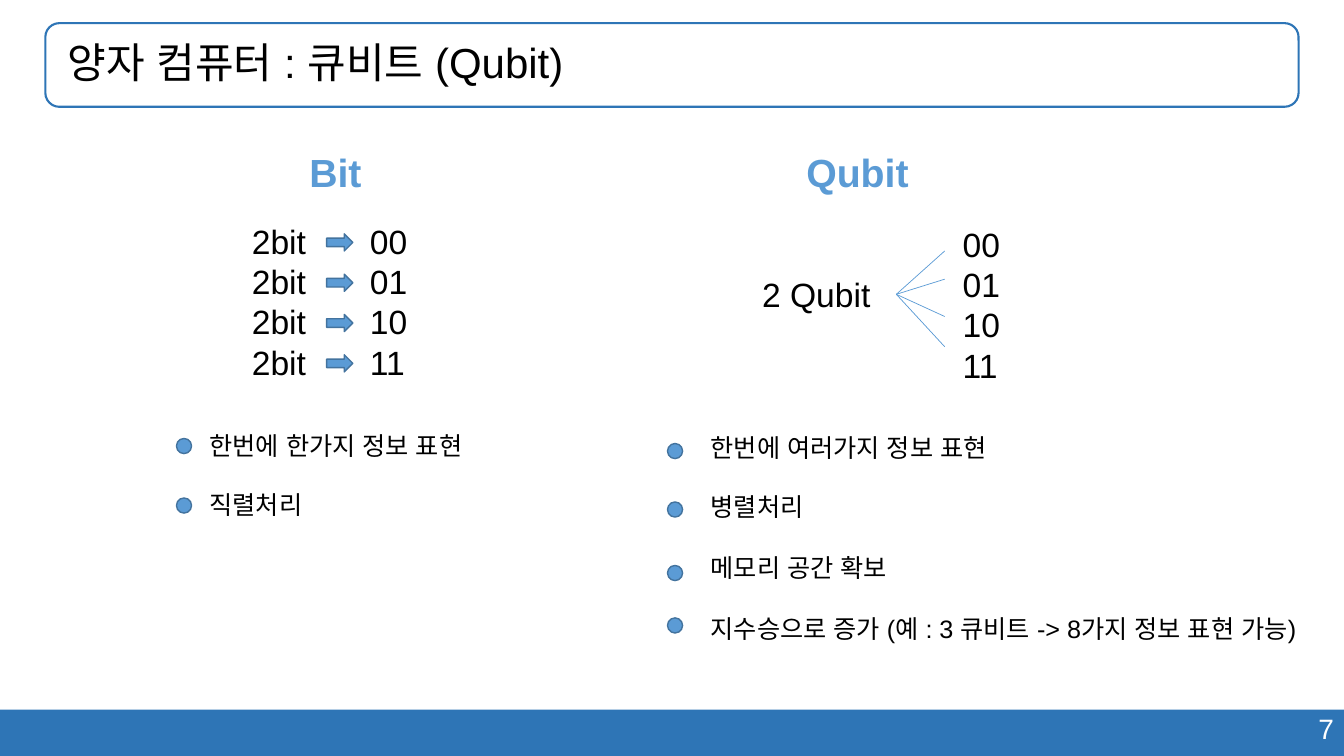
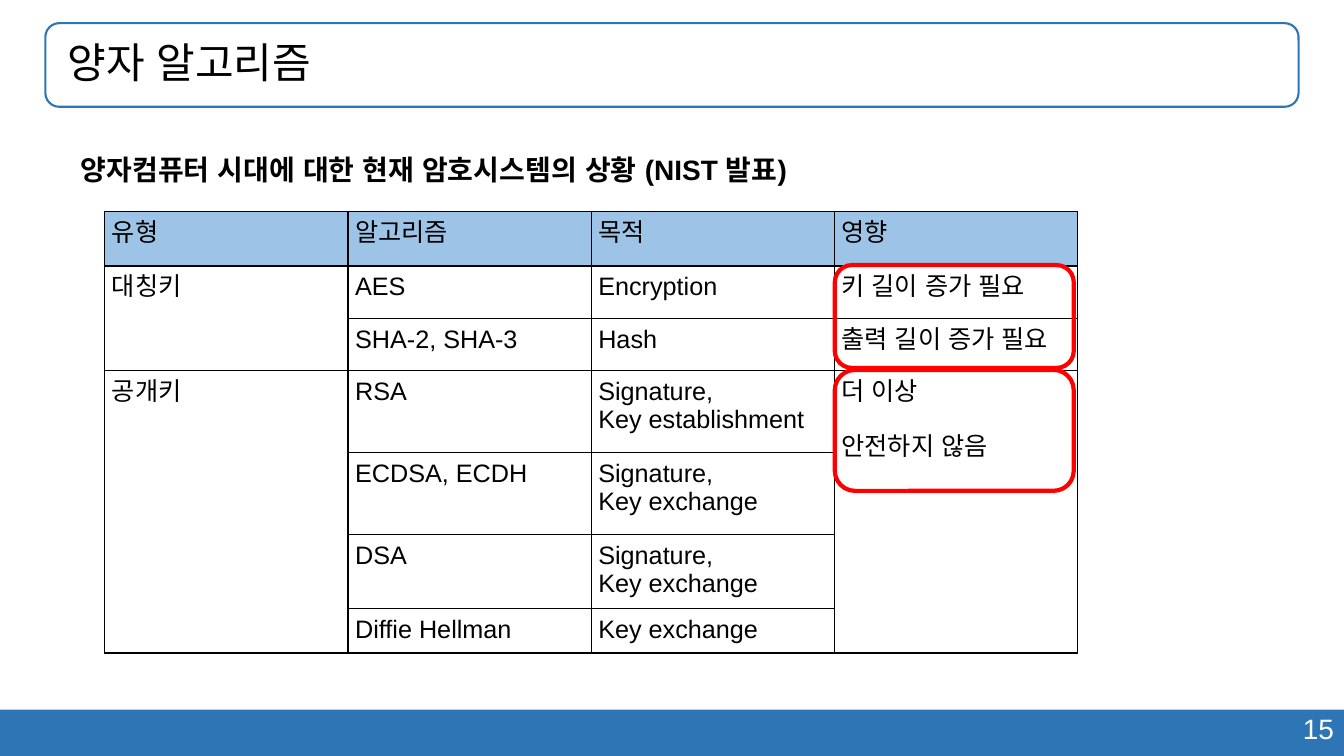
from typing import NamedTuple

from lxml import etree
from pptx import Presentation
from pptx.dml.color import RGBColor
from pptx.enum.shapes import MSO_CONNECTOR, MSO_SHAPE
from pptx.enum.text import MSO_ANCHOR, PP_ALIGN
from pptx.oxml.ns import qn
from pptx.util import Inches, Pt

RECT, ROUND = MSO_SHAPE.RECTANGLE, MSO_SHAPE.ROUNDED_RECTANGLE
ARROW, OVAL = MSO_SHAPE.RIGHT_ARROW, MSO_SHAPE.OVAL
LINE = MSO_CONNECTOR.STRAIGHT
LEFT, RIGHT = PP_ALIGN.LEFT, PP_ALIGN.RIGHT
TOP, MIDDLE = MSO_ANCHOR.TOP, MSO_ANCHOR.MIDDLE
FONT = "Arial"
COLORS = {
    "band": "2E75B6",
    "accent": "5B9BD5",
    "edge": "43739E",
    "head": "9DC3E6",
    "alert": "FF0000",
    "ink": "000000",
    "white": "FFFFFF",
}


class Box(NamedTuple):
    left: float
    top: float
    width: float
    height: float


class Style(NamedTuple):
    size: int
    color: str = "ink"
    bold: bool = False


class Point(NamedTuple):
    text: str
    top: float
    dot: float


class Column(NamedTuple):
    left: float
    dot: float
    width: float
    points: tuple[Point, ...]


class Label(NamedTuple):
    text: str
    box: Box
    style: Style


class Span(NamedTuple):
    col: int
    first: int
    last: int


BODY = Style(18)
CODE = Style(24)
HEAD = Style(28, "accent", True)
STATES = ("00", "01", "10", "11")
LABELS = (
    Label("Bit", Box(2.97, 1.42, 3, 0.57), HEAD),
    Label("Qubit", Box(7.9, 1.42, 3, 0.57), HEAD),
    Label("\n".join(["2bit"] * len(STATES)), Box(2.4, 2.14, 0.97, 1.72), CODE),
    Label("\n".join(STATES), Box(3.57, 2.14, 1.05, 1.72), CODE),
    Label("\n".join(STATES), Box(9.45, 2.17, 1.05, 1.72), CODE),
)
TIPS = (2.49, 2.77, 3.14, 3.44)
COLUMNS = (
    Column(1.98, 1.75, 3.42, (
        Point("한번에 한가지 정보 표현", 4.22, 4.35),
        Point("직렬처리", 4.81, 4.94),
    )),
    Column(6.95, 6.62, 6.6, (
        Point("한번에 여러가지 정보 표현", 4.24, 4.4),
        Point("병렬처리", 4.83, 4.98),
        Point("메모리 공간 확보", 5.43, 5.61),
        Point("지수승으로 증가 (예 : 3 큐비트 -> 8가지 정보 표현 가능)", 6.04, 6.13),
    )),
)
ROWS = (
    ("유형", "알고리즘", "목적", "영향"),
    ("대칭키", "AES", "Encryption", "키 길이 증가 필요"),
    ("", "SHA-2, SHA-3", "Hash", "출력 길이 증가 필요"),
    ("공개키", "RSA", "Signature,\vKey establishment", "더 이상\n안전하지 않음"),
    ("", "ECDSA, ECDH", "Signature,\vKey exchange", ""),
    ("", "DSA", "Signature,\vKey exchange", ""),
    ("", "Diffie Hellman", "Key exchange", ""),
)
HEIGHTS = (0.54, 0.52, 0.52, 0.81, 0.81, 0.4, 0.4)
SPANS = (Span(0, 1, 2), Span(0, 3, 6), Span(3, 3, 6))
MARKS = (Box(8.28, 2.63, 2.37, 1.02), Box(8.28, 3.67, 2.37, 1.2))


def color(name: str) -> RGBColor:
    return RGBColor.from_string(COLORS[name])


def place(box: Box) -> list:
    return [Inches(side) for side in box]


def write(frame, text: str, style: Style, align=LEFT, gap: int = 0) -> None:
    frame.word_wrap = True
    for row, line in enumerate(text.split("\n")):
        para = frame.paragraphs[0] if row == 0 else frame.add_paragraph()
        para.alignment = align
        if row and gap:
            para.space_before = Pt(gap)
        for part, words in enumerate(line.split("\v")):
            if part:
                para.add_line_break()
            run = para.add_run()
            run.text = words
            run.font.name = FONT
            run.font.size = Pt(style.size)
            run.font.bold = style.bold
            run.font.color.rgb = color(style.color)
            etree.SubElement(run._r.get_or_add_rPr(), qn("a:ea"), typeface=FONT)


def add_text(slide, text: str, box: Box, style: Style, align=LEFT):
    shape = slide.shapes.add_textbox(*place(box))
    shape.text_frame.vertical_anchor = TOP
    write(shape.text_frame, text, style, align)
    return shape


def add_shape(slide, kind, box: Box, fill: str = "", line: str = "", width: float = 1):
    shape = slide.shapes.add_shape(kind, *place(box))
    shape.shadow.inherit = False
    if fill:
        shape.fill.solid()
        shape.fill.fore_color.rgb = color(fill)
    else:
        shape.fill.background()
    if line:
        shape.line.color.rgb = color(line)
        shape.line.width = Pt(width)
    else:
        shape.line.fill.background()
    return shape


def add_ray(slide, source, end: float, tip: float) -> None:
    ray = slide.shapes.add_connector(LINE, 0, 0, Inches(end), Inches(tip))
    ray.begin_connect(source, 3)
    ray.line.color.rgb = color("accent")
    ray.line.width = Pt(0.5)
    etree.SubElement(ray._element.spPr, qn("a:effectLst"))


def add_slide(deck, title: str, number: int):
    slide = deck.slides.add_slide(deck.slide_layouts[6])
    add_shape(slide, RECT, Box(0, 7.04, 13.33, 0.46), "band")
    add_text(slide, str(number), Box(9.43, 7.01, 3.9, 0.44), Style(20, "white"), RIGHT)
    frame = add_shape(slide, ROUND, Box(0.45, 0.23, 12.43, 0.83), line="band", width=1.5).text_frame
    frame.margin_left = Inches(0.18)
    frame.vertical_anchor = MIDDLE
    write(frame, title, Style(30))
    frame.paragraphs[0].line_spacing = 0.9
    return slide


def add_border(cell) -> None:
    props = cell._tc.get_or_add_tcPr()
    for order, side in enumerate(("lnL", "lnR", "lnT", "lnB")):
        line = etree.Element(qn(f"a:{side}"), w=str(Pt(1)))
        fill = etree.SubElement(line, qn("a:solidFill"))
        etree.SubElement(fill, qn("a:srgbClr"), val=COLORS["ink"])
        props.insert(order, line)


def add_grid(slide) -> None:
    box = Box(1.04, 2.1, 9.65, sum(HEIGHTS))
    table = slide.shapes.add_table(len(ROWS), len(ROWS[0]), *place(box)).table
    table.first_row = table.horz_banding = False
    for col in table.columns:
        col.width = Inches(box.width / len(ROWS[0]))
    for row, (height, texts) in enumerate(zip(HEIGHTS, ROWS)):
        table.rows[row].height = Inches(height)
        for col, text in enumerate(texts):
            cell = table.cell(row, col)
            cell.margin_left = cell.margin_right = Inches(0.07)
            cell.margin_top = cell.margin_bottom = Inches(0.07)
            if row == 0:
                cell.fill.solid()
                cell.fill.fore_color.rgb = color("head")
            else:
                cell.fill.background()
            add_border(cell)
            if text:
                write(cell.text_frame, text, BODY, gap=19)
    for span in SPANS:
        table.cell(span.first, span.col).merge(table.cell(span.last, span.col))


def draw_qubit(deck) -> None:
    slide = add_slide(deck, "양자 컴퓨터 : 큐비트 (Qubit)", 7)
    for label in LABELS:
        add_text(slide, label.text, label.box, label.style)
    for row in range(len(STATES)):
        add_shape(slide, ARROW, Box(3.24, 2.32 + 0.4 * row, 0.26, 0.17), "accent", "edge")
    source = add_text(slide, "2 Qubit", Box(7.46, 2.67, 1.43, 0.5), CODE)
    for tip in TIPS:
        add_ray(slide, source, 9.37, tip)
    for column in COLUMNS:
        for point in column.points:
            add_shape(slide, OVAL, Box(column.dot, point.dot, 0.15, 0.15), "accent", "edge")
            add_text(slide, point.text, Box(column.left, point.top, column.width, 0.4), BODY)


def draw_crypto(deck) -> None:
    slide = add_slide(deck, "양자 알고리즘", 15)
    add_grid(slide)
    add_text(slide, "양자컴퓨터 시대에 대한 현재 암호시스템의 상황 (NIST 발표)",
             Box(0.7, 1.46, 7.59, 0.44), Style(20, bold=True))
    for mark in MARKS:
        add_shape(slide, ROUND, mark, line="alert", width=3)


def main() -> None:
    deck = Presentation()
    deck.slide_width, deck.slide_height = Inches(13.33), Inches(7.5)
    draw_qubit(deck)
    draw_crypto(deck)
    deck.save("out.pptx")


if __name__ == "__main__":
    main()
